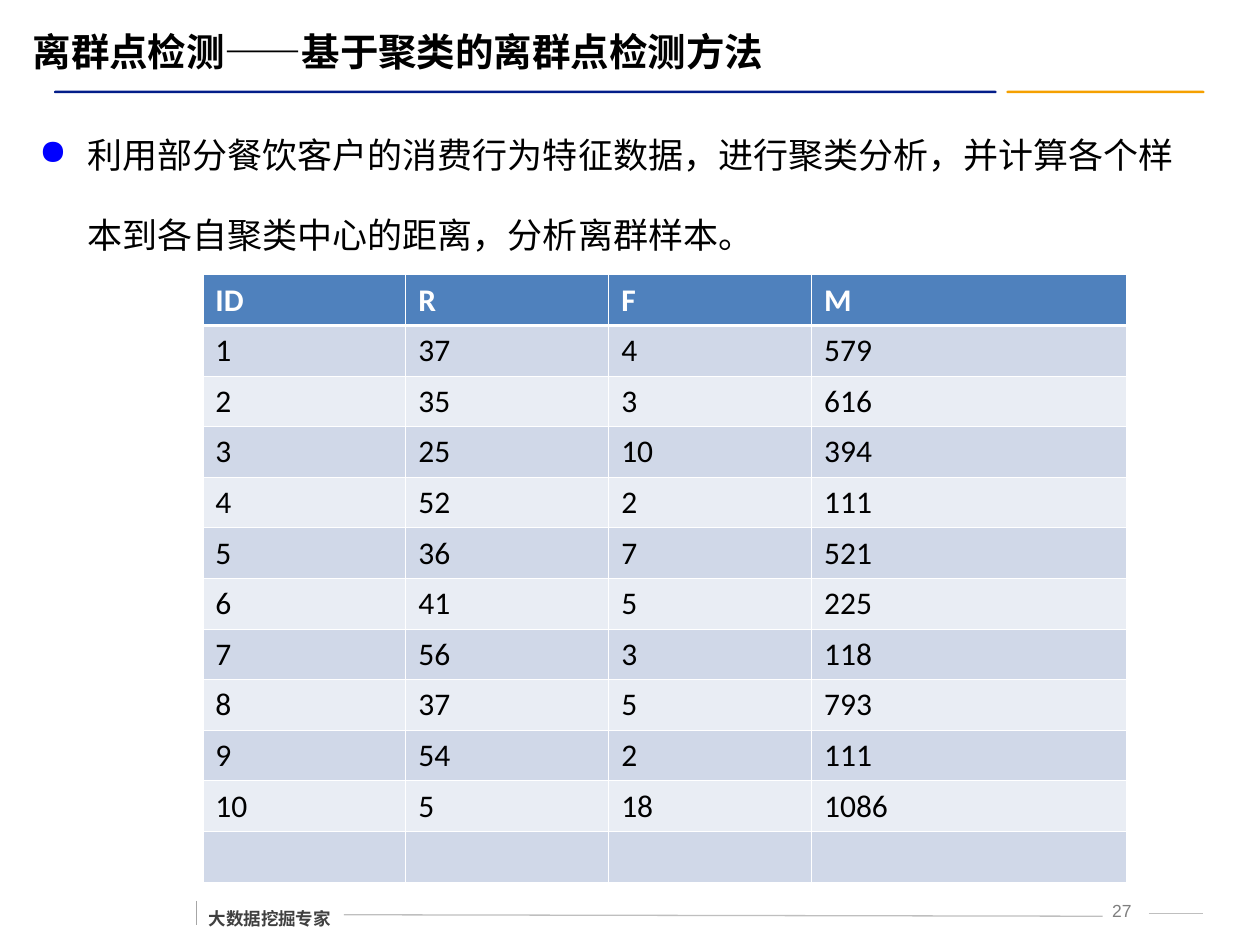
"""Build the slide on outlier detection by clustering."""
import pptx
import pptx.util
import pptx.dml.color
import pptx.enum.shapes
import pptx.enum.text
import pptx.oxml.ns
from lxml import etree

Cm, Pt = pptx.util.Cm, pptx.util.Pt
RGB = pptx.dml.color.RGBColor
ALIGN = pptx.enum.text.PP_ALIGN
ANCHOR = pptx.enum.text.MSO_ANCHOR
KIND = pptx.enum.shapes.MSO_SHAPE
LINK = pptx.enum.shapes.MSO_CONNECTOR
qn = pptx.oxml.ns.qn

BLACK = RGB(0x00, 0x00, 0x00)
WHITE = RGB(0xFF, 0xFF, 0xFF)
NAVY = RGB(0x03, 0x1D, 0x89)
AMBER = RGB(0xF5, 0xA0, 0x00)
BLUE = RGB(0x00, 0x00, 0xFF)
STEEL = RGB(0x4F, 0x81, 0xBD)
BANDS = RGB(0xD0, 0xD8, 0xE8), RGB(0xE9, 0xED, 0xF4)
DARK = RGB(0x40, 0x40, 0x40)
GRAY = RGB(0x7F, 0x7F, 0x7F)
MID = RGB(0xA6, 0xA6, 0xA6)
PALE = RGB(0xBF, 0xBF, 0xBF)
HAN = "Noto Sans CJK SC"

TITLE = [("离群点检测", "Arial"), ("——基于聚类的离群点检测方法", HAN)]
BODY = [("利用部分餐饮客户的消费行为特征数据，进行聚类分析，"
         "并计算各个样本到各自聚类中心的距离，分析离群样本。", HAN)]
FOOT = [("大数据挖掘专家", HAN)]
PAGE = [("27", "Arial")]
HEAD = ["ID", "R", "F", "M"]
DATA = [
    (1, 37, 4, 579),
    (2, 35, 3, 616),
    (3, 25, 10, 394),
    (4, 52, 2, 111),
    (5, 36, 7, 521),
    (6, 41, 5, 225),
    (7, 56, 3, 118),
    (8, 37, 5, 793),
    (9, 54, 2, 111),
    (10, 5, 18, 1086),
    ("", "", "", ""),
]
WIDTHS = [4.09, 4.09, 4.09, 6.35]
ROW = 1.02
BARS = [(1.09, 19.0, NAVY), (20.29, 3.99, AMBER)]
RULES = [
    (6.93, 18.44, 22.23, 18.47, PALE),
    (23.16, 18.42, 24.26, 18.42, PALE),
    (3.96, 18.16, 3.96, 18.64, MID),
]


def write(frame, runs, size=18, color=BLACK, bold=False, align=ALIGN.LEFT,
          before=0, lines=None):
    """Fill the first paragraph with (text, font) runs and return it."""
    para = frame.paragraphs[0]
    para.alignment = align
    para.space_before = Pt(before)
    if lines:
        para.line_spacing = lines
    for text, face in runs:
        run = para.add_run()
        run.text = text
        font = run.font
        font.size, font.bold, font.name = Pt(size), bold, face
        font.color.rgb = color
        east = etree.SubElement(run._r.get_or_add_rPr(), qn("a:ea"))
        east.set("typeface", HAN)
    return para


def add_box(slide, place, runs, pad=True, wrap=True, anchor=ANCHOR.TOP, **form):
    """Add a text box and return its paragraph."""
    frame = slide.shapes.add_textbox(*map(Cm, place)).text_frame
    frame.word_wrap = wrap
    frame.vertical_anchor = anchor
    if not pad:
        frame.margin_left = frame.margin_right = 0
        frame.margin_top = frame.margin_bottom = 0
    return write(frame, runs, **form)


def add_dot(para, indent):
    """Give the paragraph a round blue bullet and a hanging indent."""
    props = para._p.get_or_add_pPr()
    props.set("marL", str(Cm(indent)))
    props.set("indent", str(-Cm(indent)))
    tint = etree.SubElement(props, qn("a:buClr"))
    etree.SubElement(tint, qn("a:srgbClr")).set("val", str(BLUE))
    etree.SubElement(props, qn("a:buChar")).set("char", "●")


def add_edges(cell, widths):
    """Draw white cell borders, widths in points by side."""
    props = cell._tc.get_or_add_tcPr()
    for side, width in widths.items():
        line = etree.SubElement(props, qn("a:ln" + side))
        line.set("w", str(Pt(width)))
        fill = etree.SubElement(line, qn("a:solidFill"))
        etree.SubElement(fill, qn("a:srgbClr")).set("val", str(WHITE))


def add_grid(slide):
    """Add the table of customers."""
    rows = [HEAD] + DATA
    size = map(Cm, (4.09, 5.54, sum(WIDTHS), ROW * len(rows)))
    table = slide.shapes.add_table(len(rows), len(HEAD), *size).table
    for col, width in zip(table.columns, WIDTHS):
        col.width = Cm(width)
    for i, row in enumerate(rows):
        table.rows[i].height = Cm(ROW)
        top = i == 0
        edges = {"L": 0.45, "R": 0.45, "T": 1.47 if i == 1 else 0.45,
                 "B": 1.47 if top else 0.45}
        for j, item in enumerate(row):
            cell = table.cell(i, j)
            add_edges(cell, edges)
            cell.fill.solid()
            cell.fill.fore_color.rgb = STEEL if top else BANDS[(i - 1) % 2]
            if item != "":
                write(cell.text_frame, [(str(item), "Calibri")], bold=top,
                      color=WHITE if top else BLACK, before=4.5)


def add_bars(slide):
    """Add the two bars below the title."""
    for left, width, color in BARS:
        place = map(Cm, (left, 1.83, width, 0.05))
        bar = slide.shapes.add_shape(KIND.ROUNDED_RECTANGLE, *place)
        bar.adjustments[0] = 0.5
        bar.shadow.inherit = False
        bar.fill.solid()
        bar.fill.fore_color.rgb = color
        bar.line.fill.background()


def add_rules(slide):
    """Add the thin footer lines."""
    for *ends, color in RULES:
        rule = slide.shapes.add_connector(LINK.STRAIGHT, *map(Cm, ends))
        rule.line.color.rgb = color
        rule.line.width = Pt(0.75)
        etree.SubElement(rule._element.spPr, qn("a:effectLst"))


def main():
    """Build and save the slide."""
    deck = pptx.Presentation()
    deck.slide_width, deck.slide_height = Cm(25.4), Cm(19.05)
    slide = deck.slides.add_slide(deck.slide_layouts[6])
    add_bars(slide)
    add_box(slide, (22.02, 18.01, 1.19, 0.64), PAGE, size=10, color=GRAY,
            align=ALIGN.CENTER)
    add_rules(slide)
    add_box(slide, (3.96, 17.96, 2.97, 0.89), FOOT, wrap=False, size=10,
            color=DARK, bold=True, before=6, lines=1.5)
    add_box(slide, (0.41, 0.43, 23.11, 1.19), TITLE, anchor=ANCHOR.MIDDLE,
            size=22, bold=True)
    body = add_box(slide, (0.79, 1.93, 23.42, 3.23), BODY, pad=False, size=20,
                   before=5, lines=1.9)
    add_dot(body, 0.97)
    add_grid(slide)
    deck.save("out.pptx")


if __name__ == "__main__":
    main()
